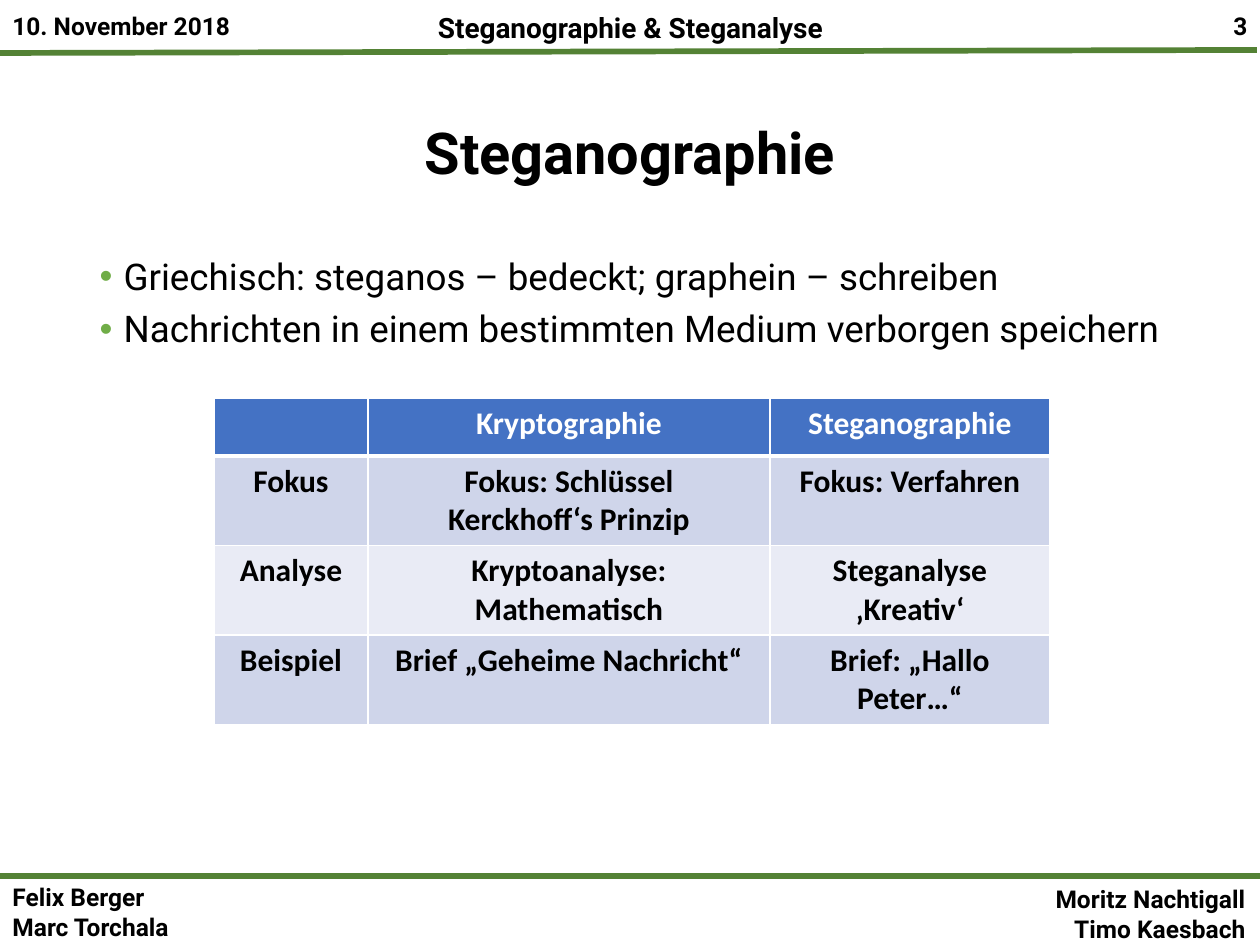
from lxml import etree
from pptx import Presentation
from pptx.dml.color import RGBColor
from pptx.enum.shapes import MSO_CONNECTOR
from pptx.enum.text import MSO_ANCHOR, MSO_AUTO_SIZE, PP_ALIGN
from pptx.oxml.ns import qn
from pptx.util import Emu, Pt

LEFT, CENTER, RIGHT = PP_ALIGN.LEFT, PP_ALIGN.CENTER, PP_ALIGN.RIGHT
TOP, MIDDLE = MSO_ANCHOR.TOP, MSO_ANCHOR.MIDDLE
NO_AUTOFIT = MSO_AUTO_SIZE.NONE
STRAIGHT = MSO_CONNECTOR.STRAIGHT
PIXEL = 914400 // 126

# Content: boxes are left, top, width, height in pixels
TITLE = ("Steganographie", (87, 64, 1086, 183))
BODY_BOX = (87, 252, 1086, 600)
BULLETS = [
    "Griechisch: steganos – bedeckt; graphein – schreiben",
    "Nachrichten in einem bestimmten Medium verborgen speichern",
]
LABELS = [
    ("Steganographie & Steganalyse", (296, 4, 669, 47), CENTER, "heading"),
    ("10. November 2018", (0, 5, 326, 43), LEFT, "label"),
    ("3", (1182, 5, 78, 43), RIGHT, "label"),
    ("Felix Berger\vMarc Torchala", (0, 876, 381, 72), LEFT, "label"),
    ("Moritz Nachtigall\nTimo Kaesbach", (1031, 878, 227, 72), RIGHT, "label"),
]
RULES = [(-3, 53, 1257, 50), (0, 876, 1261, 876)]
TABLE_ROWS = [
    ["", "Kryptographie", "Steganographie"],
    ["Fokus", "Fokus: Schlüssel\nKerckhoff‘s Prinzip", "Fokus: Verfahren"],
    ["Analyse", "Kryptoanalyse: Mathematisch", "Steganalyse ‚Kreativ‘"],
    ["Beispiel", "Brief „Geheime Nachricht“", "Brief: „Hallo Peter…“"],
]
TABLE_ORIGIN = (214, 398)
COLUMN_WIDTHS = [154, 402, 280]
ROW_HEIGHTS = [58, 89, 89, 89]

THEME = {
    "rule": "548235", "bullet": "70AD47", "border": "FFFFFF",
    "header_fill": "4472C4", "bands": ["E9EBF5", "CFD5EA"],
    "rule_width": 3.25, "border_width": 1, "header_border_width": 3,
    "fonts": {
        "title": {"name": "Roboto", "size": Pt(33), "bold": True, "color": "000000"},
        "body": {"name": "Roboto", "size": Pt(21), "bold": False, "color": "000000"},
        "heading": {"name": "Roboto", "size": Pt(16), "bold": True, "color": "000000"},
        "label": {"name": "Roboto", "size": Pt(14), "bold": True, "color": "000000"},
        "table_header": {"name": "Calibri", "size": Pt(18), "bold": True, "color": "FFFFFF"},
        "table_cell": {"name": "Calibri", "size": Pt(18), "bold": True, "color": "000000"},
    },
}


def to_emu(values):
    return [Emu(value * PIXEL) for value in values]


def color(name):
    return RGBColor.from_string(name)


def write(text_frame, text, style, **paragraph_format):
    text_frame.text = text
    for paragraph in text_frame.paragraphs:
        for attribute, value in paragraph_format.items():
            setattr(paragraph, attribute, value)
        for run in paragraph.runs:
            for attribute, value in THEME["fonts"][style].items():
                if attribute == "color":
                    run.font.color.rgb = color(value)
                else:
                    setattr(run.font, attribute, value)


def place(shape, box, anchor):
    shape.left, shape.top, shape.width, shape.height = to_emu(box)
    frame_format = {"word_wrap": True, "auto_size": NO_AUTOFIT, "vertical_anchor": anchor}
    for attribute, value in frame_format.items():
        setattr(shape.text_frame, attribute, value)


def add_bullet(paragraph):
    properties = paragraph._p.get_or_add_pPr()
    properties.set("marL", str(24 * PIXEL))
    properties.set("indent", str(-24 * PIXEL))
    bullet_color = etree.SubElement(properties, qn("a:buClr"))
    etree.SubElement(bullet_color, qn("a:srgbClr"), val=THEME["bullet"])
    etree.SubElement(properties, qn("a:buFont"), typeface="Arial")
    etree.SubElement(properties, qn("a:buChar"), char="•")


def add_borders(cell, widths):
    properties = cell._tc.get_or_add_tcPr()
    for side, width in widths.items():
        line = etree.SubElement(properties, qn(f"a:ln{side}"), w=str(Pt(width)))
        fill = etree.SubElement(line, qn("a:solidFill"))
        etree.SubElement(fill, qn("a:srgbClr"), val=THEME["border"])


presentation = Presentation()
presentation.slide_width, presentation.slide_height = to_emu((1260, 945))
slide = presentation.slides.add_slide(presentation.slide_layouts[1])

# Header and footer labels
for text, box, alignment, style in LABELS:
    shape = slide.shapes.add_textbox(*to_emu(box))
    place(shape, box, TOP)
    write(shape.text_frame, text, style, alignment=alignment)

# Green rules
for ends in RULES:
    rule = slide.shapes.add_connector(STRAIGHT, *to_emu(ends))
    rule.line.color.rgb = color(THEME["rule"])
    rule.line.width = Pt(THEME["rule_width"])
    etree.SubElement(rule._element.spPr, qn("a:effectLst"))

# Title and bullet list
title_text, title_box = TITLE
title = slide.shapes.title
place(title, title_box, MIDDLE)
write(title.text_frame, title_text, "title", alignment=CENTER, line_spacing=0.9)

body = slide.placeholders[1]
place(body, BODY_BOX, TOP)
write(body.text_frame, "\n".join(BULLETS), "body", alignment=LEFT,
      line_spacing=0.9, space_before=Pt(7.5))
for paragraph in body.text_frame.paragraphs:
    add_bullet(paragraph)

# Comparison table
table_box = (*TABLE_ORIGIN, sum(COLUMN_WIDTHS), sum(ROW_HEIGHTS))
table = slide.shapes.add_table(len(TABLE_ROWS), len(COLUMN_WIDTHS), *to_emu(table_box)).table
for column, width in zip(table.columns, to_emu(COLUMN_WIDTHS)):
    column.width = width
for row, height in zip(table.rows, to_emu(ROW_HEIGHTS)):
    row.height = height

thin, thick = THEME["border_width"], THEME["header_border_width"]
for row_index, texts in enumerate(TABLE_ROWS):
    is_header = row_index == 0
    fill_color = THEME["header_fill"] if is_header else THEME["bands"][row_index % 2]
    borders = {"L": thin, "R": thin, "T": thick if row_index == 1 else thin,
               "B": thick if is_header else thin}
    for column_index, text in enumerate(texts):
        cell = table.cell(row_index, column_index)
        add_borders(cell, borders)
        cell.fill.solid()
        cell.fill.fore_color.rgb = color(fill_color)
        write(cell.text_frame, text, "table_header" if is_header else "table_cell",
              alignment=CENTER)

presentation.save("out.pptx")
